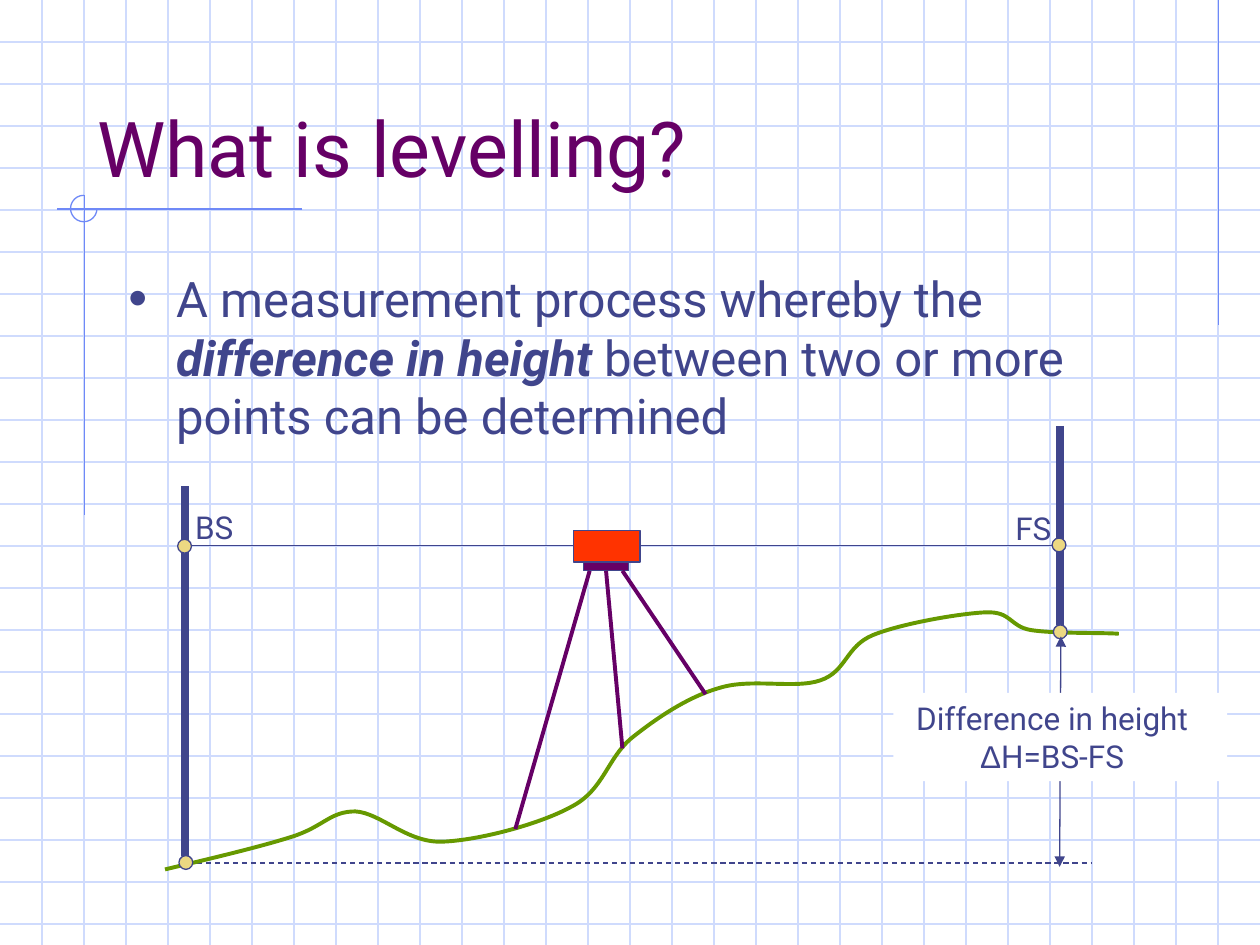
from dataclasses import dataclass

from lxml.etree import SubElement
from pptx import Presentation
from pptx.dml.color import RGBColor
from pptx.enum.dml import MSO_LINE
from pptx.enum.shapes import MSO_CONNECTOR, MSO_SHAPE
from pptx.enum.text import MSO_ANCHOR, PP_ALIGN
from pptx.oxml.ns import qn
from pptx.util import Inches, Pt

GRID = RGBColor(0xCF, 0xDB, 0xFD)
RULE = RGBColor(0x6F, 0x89, 0xF7)
NAVY = RGBColor(0x40, 0x45, 0x8C)
PURPLE = RGBColor(0x66, 0x00, 0x66)
GREEN = RGBColor(0x66, 0x99, 0x00)
SAND = RGBColor(0xEC, 0xD8, 0x82)
RED = RGBColor(0xFF, 0x33, 0x00)
WHITE = RGBColor(0xFF, 0xFF, 0xFF)

WIDTH, HEIGHT = 10, 7.5
CELLS_PER_INCH = 3
DOT = 0.11

Point = tuple[float, float]


@dataclass
class Line:
    start: Point
    end: Point
    color: RGBColor = NAVY
    width: float = 0.75
    dashed: bool = False
    arrows: bool = False


@dataclass
class Label:
    text: str
    left: float
    top: float


def draw_line(s, line: Line):
    points = [Inches(v) for v in (*line.start, *line.end)]
    c = s.shapes.add_connector(MSO_CONNECTOR.STRAIGHT, *points)
    c.line.color.rgb = line.color
    c.line.width = Pt(line.width)
    if line.dashed:
        c.line.dash_style = MSO_LINE.DASH
    if line.arrows:
        for tag in ("a:headEnd", "a:tailEnd"):
            SubElement(c.line._get_or_add_ln(), qn(tag), type="triangle")
    SubElement(c.element.spPr, qn("a:effectLst"))
    return c


def draw_shape(s, kind, left: float, top: float, width: float, height: float,
               fill: RGBColor | None, outline: RGBColor | None = NAVY):
    sp = s.shapes.add_shape(kind, *map(Inches, (left, top, width, height)))
    sp.shadow.inherit = False
    if fill is None:
        sp.fill.background()
    else:
        sp.fill.solid()
        sp.fill.fore_color.rgb = fill
    if outline is None:
        sp.line.fill.background()
    else:
        sp.line.color.rgb = outline
        sp.line.width = Pt(0.75)
    return sp


def draw_curve(s, knots: list[Point], color: RGBColor, width: float) -> None:
    """Chain of cubic curves: a start, then two controls and an end for each."""
    points = [(Inches(x), Inches(y)) for x, y in knots]
    builder = s.shapes.build_freeform(*points[0])
    builder.add_line_segments(points[1:], close=False)
    sp = builder.convert_to_shape()
    sp.shadow.inherit = False
    sp.fill.background()
    sp.line.color.rgb = color
    sp.line.width = Pt(width)
    # Turn each three straight segments into one cubic curve
    outline = next(sp.element.iter(qn("a:path")))
    segments = outline.findall(qn("a:lnTo"))
    for i in range(0, len(segments), 3):
        cubic = SubElement(outline, qn("a:cubicBezTo"))
        for segment in segments[i:i + 3]:
            cubic.append(segment[0])
            outline.remove(segment)


def add_run(p, text: str, size: float, color: RGBColor = NAVY,
            font: str = "Roboto", strong: bool = False) -> None:
    r = p.add_run()
    r.text = text
    r.font.name = font
    r.font.size = Pt(size)
    r.font.color.rgb = color
    r.font.bold = r.font.italic = strong


def add_text_box(s, left: float, top: float, width: float, height: float):
    sp = s.shapes.add_textbox(*map(Inches, (left, top, width, height)))
    sp.text_frame.word_wrap = True
    return sp.text_frame


def add_bullet(p) -> None:
    pPr = p._p.get_or_add_pPr()
    pPr.set("marL", str(Inches(0.38)))
    pPr.set("indent", str(Inches(-0.38)))
    color = SubElement(pPr, qn("a:buClr"))
    SubElement(color, qn("a:srgbClr"), val=str(NAVY))
    SubElement(pPr, qn("a:buSzPct"), val="110000")
    SubElement(pPr, qn("a:buFont"), typeface="Arial")
    SubElement(pPr, qn("a:buChar"), char="•")


prs = Presentation()
prs.slide_width, prs.slide_height = Inches(WIDTH), Inches(HEIGHT)
s = prs.slides.add_slide(prs.slide_layouts[5])

# Squared-paper background
for i in range(1, int(HEIGHT * CELLS_PER_INCH) + 1):
    y = i / CELLS_PER_INCH
    draw_line(s, Line((0, y), (WIDTH, y), GRID))
for i in range(1, WIDTH * CELLS_PER_INCH):
    x = i / CELLS_PER_INCH
    draw_line(s, Line((x, 0), (x, HEIGHT), GRID))

# Corner rules and three-quarter circle
for start, end in [((9.67, 0), (9.67, 2.58)), ((2.4, 1.66), (0.45, 1.66)),
                   ((0.67, 1.55), (0.67, 4.09))]:
    draw_line(s, Line(start, end, RULE))
arc = draw_shape(s, MSO_SHAPE.ARC, 0.56, 1.55, 0.21, 0.21, None, RULE)
arc.adjustments[0], arc.adjustments[1] = 0, 162

# Title, brought in front of the grid
title = s.shapes.title
title.left, title.top, title.width, title.height = map(Inches, (0.67, 0.33, 8.5, 1.25))
title.text_frame.vertical_anchor = MSO_ANCHOR.BOTTOM
title.text_frame.word_wrap = True
p = title.text_frame.paragraphs[0]
p.alignment = PP_ALIGN.LEFT
add_run(p, "What is levelling?", 44, PURPLE)
s.shapes.element.append(title.element)

# Definition
p = add_text_box(s, 0.92, 2.08, 8.5, 4.5).paragraphs[0]
add_bullet(p)
add_run(p, "A measurement process whereby the ", 28)
add_run(p, "difference in height", 28, strong=True)
add_run(p, " between two or more points can be determined", 28)

# Line of sight, staffs and datum
for line in [Line((1.48, 4.33), (8.43, 4.33)),
             Line((1.47, 3.86), (1.47, 6.79), width=4.5),
             Line((8.41, 3.38), (8.41, 4.96), width=4.5),
             Line((1.49, 6.85), (8.66, 6.85), dashed=True)]:
    draw_line(s, line)
for label in [Label("BS", 1.45, 3.98), Label("FS", 7.96, 3.99)]:
    tf = add_text_box(s, label.left, label.top, 0.66, 0.4)
    add_run(tf.paragraphs[0], label.text, 18)

# Ground profile
draw_curve(s, [
    (1.31, 6.9), (1.69, 6.81), (2.07, 6.72), (2.32, 6.64),
    (2.57, 6.56), (2.62, 6.44), (2.82, 6.44), (3.02, 6.45), (3.23, 6.69), (3.51, 6.68),
    (3.8, 6.67), (4.29, 6.54), (4.54, 6.4), (4.79, 6.27), (4.82, 6.02), (5.01, 5.86),
    (5.21, 5.7), (5.46, 5.53), (5.71, 5.46), (5.96, 5.38), (6.31, 5.47), (6.51, 5.4),
    (6.72, 5.33), (6.71, 5.13), (6.93, 5.04), (7.15, 4.95), (7.61, 4.87), (7.82, 4.86),
    (8.03, 4.85), (8.01, 4.97), (8.18, 5), (8.36, 5.03), (8.76, 5.02), (8.88, 5.03),
], GREEN, 2.25)

# Sight and ground marks
for left, top in [(1.41, 4.28), (8.35, 4.27), (1.42, 6.79), (8.36, 4.96)]:
    draw_shape(s, MSO_SHAPE.OVAL, left, top, DOT, DOT, SAND)

# Height difference
draw_line(s, Line((8.42, 5.05), (8.41, 6.88), arrows=True))
sp = draw_shape(s, MSO_SHAPE.RECTANGLE, 7.09, 5.5, 2.65, 0.7, WHITE, None)
tf = sp.text_frame
tf.word_wrap = False
tf.vertical_anchor = MSO_ANCHOR.TOP
p = tf.paragraphs[0]
p.alignment = PP_ALIGN.CENTER
p._p.get_or_add_pPr().set("marR", str(Inches(0.13)))
add_run(p, "Difference in height", 18)
p = tf.add_paragraph()
p.alignment = PP_ALIGN.CENTER
add_run(p, "Δ", 18, font="Arial")
add_run(p, "H=BS-FS", 18)

# Level on its tripod
mount = draw_shape(s, MSO_SHAPE.RECTANGLE, 4.63, 4.46, 0.36, 0.07, PURPLE)
draw_shape(s, MSO_SHAPE.RECTANGLE, 4.55, 4.21, 0.53, 0.25, RED)
for start, end in [((4.68, 4.53), (4.09, 6.58)), ((4.94, 4.53), (5.6, 5.51))]:
    draw_line(s, Line(start, end, PURPLE, 2.25))
middle_leg = draw_line(s, Line((4.81, 4.53), (4.94, 5.94), PURPLE, 2.25))
middle_leg.begin_connect(mount, 2)

prs.save("out.pptx")
